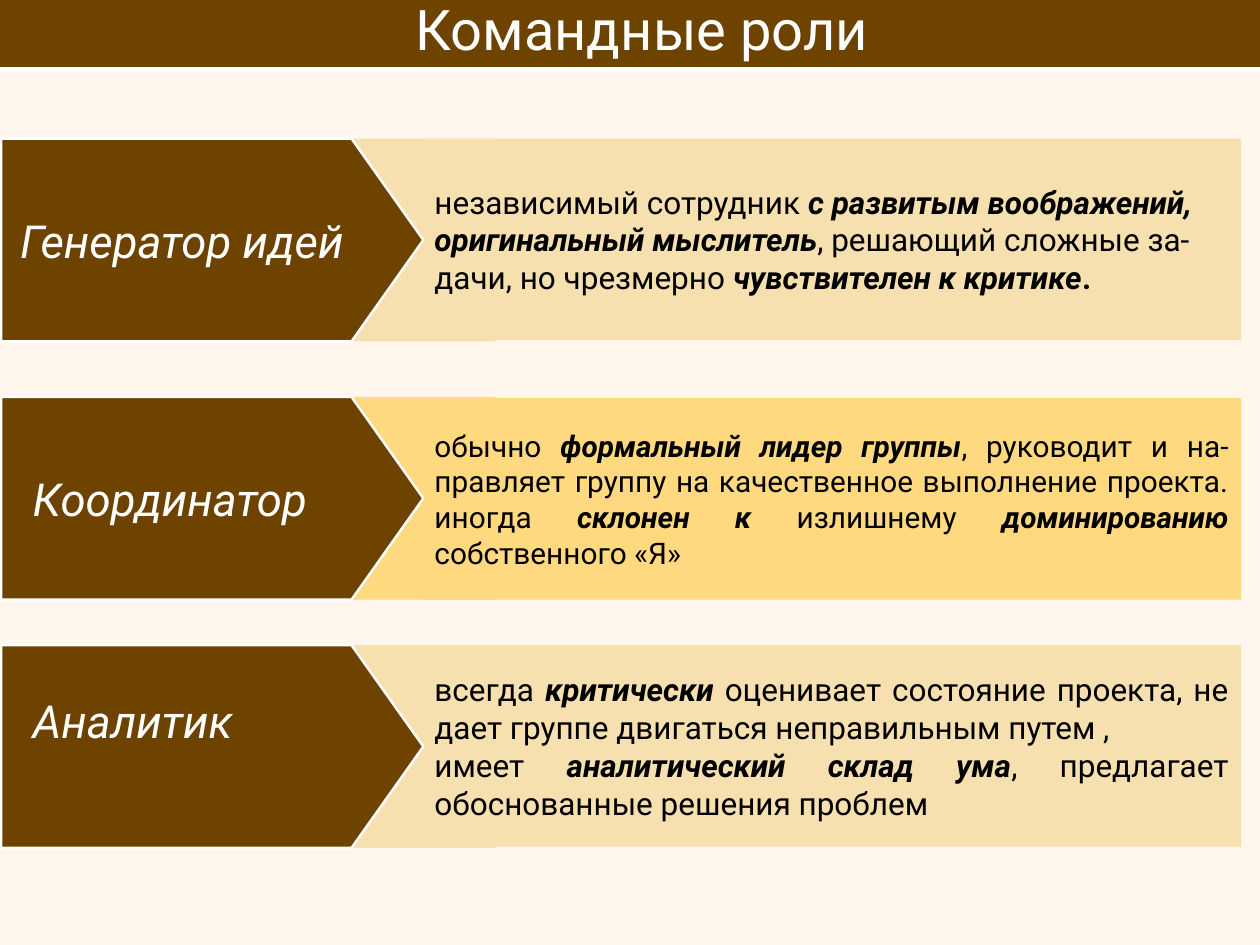
from pptx import Presentation
from pptx.dml.color import RGBColor
from pptx.enum.shapes import MSO_SHAPE as SHAPE
from pptx.enum.text import MSO_ANCHOR as ANCHOR, PP_ALIGN as ALIGN
from pptx.util import Inches, Pt

THEME = {
    "font": "Roboto", "background": "FFF7ED", "brown": "6E4300",
    "sand": "F7E0B0", "gold": "FFD97F", "white": "FFFFFF", "black": "000000",
    "title_size": 32, "role_size": 26, "arrow_line": 1.42, "title_line": 2.27,
}
PLAIN = {"bold": False, "italic": False}
STRONG = {"bold": True, "italic": True}
BOLD = {"bold": True, "italic": False}
SLANTED = {"bold": False, "italic": True}

TITLE = "Командные роли"
ROLES = [
    {"name": "Генератор идей", "top": 1.1, "panel_top": 1.1, "fill": "sand",
     "size": 18, "align": ALIGN.LEFT, "indent": 0.09, "lift": 0,
     "text": [[("независимый сотрудник ", PLAIN),
               ("с развитым воображений, оригинальный мыслитель", STRONG),
               (", решающий сложные за-дачи, но чрезмерно ", PLAIN),
               ("чувствителен к критике", STRONG), (".", BOLD)]]},
    {"name": "Координатор", "top": 3.15, "panel_top": 3.16, "fill": "gold",
     "size": 17, "align": ALIGN.JUSTIFY, "indent": 0.19, "lift": 0,
     "text": [[("обычно ", PLAIN), ("формальный лидер группы", STRONG),
               (", руководит и на-правляет группу на качественное "
                "выполнение проекта. иногда ", PLAIN),
               ("склонен к", STRONG), (" излишнему ", PLAIN),
               ("доминированию", STRONG), (" собственного «Я»", PLAIN)]]},
    {"name": "Аналитик", "top": 5.12, "panel_top": 5.12, "fill": "sand",
     "size": 18, "align": ALIGN.JUSTIFY, "indent": 0.19, "lift": 0.42,
     "text": [[("всегда ", PLAIN), ("критически", STRONG),
               (" оценивает состояние проекта, не дает группе двигаться "
                "неправильным путем ,", PLAIN)],
              [("имеет ", PLAIN), ("аналитический склад ума", STRONG),
               (", предлагает обоснованные решения проблем", PLAIN)]]},
]

ARROW_LEFT, ARROW_NECK, ARROW_TIP = 0.01, 2.79, 3.36
ROW_HEIGHT = 1.61
BACKING_LEFT = 2.32
PANEL_LEFT, PANEL_WIDTH, PANEL_HEIGHT = 3.35, 6.5, 1.6


def color(name):
    return RGBColor.from_string(THEME[name])


def style(sp, fill, line_width=None):
    sp.shadow.inherit = False
    sp.fill.solid()
    sp.fill.fore_color.rgb = color(fill)
    if line_width:
        sp.line.color.rgb = color("white")
        sp.line.width = Pt(line_width)
    else:
        sp.line.fill.background()


def add_box(slide, box, fill, line_width=None):
    sp = slide.shapes.add_shape(SHAPE.RECTANGLE, *map(Inches, box))
    style(sp, fill, line_width)
    return sp


def add_arrow(slide, top):
    bottom = top + ROW_HEIGHT
    outline = [(ARROW_NECK, top), (ARROW_TIP, top + ROW_HEIGHT / 2),
               (ARROW_NECK, bottom), (ARROW_LEFT, bottom)]
    builder = slide.shapes.build_freeform(Inches(ARROW_LEFT), Inches(top))
    builder.add_line_segments([(Inches(x), Inches(y)) for x, y in outline], close=True)
    sp = builder.convert_to_shape()
    style(sp, "brown", THEME["arrow_line"])
    return sp


def write(sp, paragraphs, size, ink, align, insets):
    tf = sp.text_frame
    tf.word_wrap = True
    tf.vertical_anchor = ANCHOR.MIDDLE
    for side, inset in zip(("left", "top", "right", "bottom"), insets):
        setattr(tf, f"margin_{side}", Inches(inset))
    for i, runs in enumerate(paragraphs):
        p = tf.add_paragraph() if i else tf.paragraphs[0]
        p.alignment = align
        for text, emphasis in runs:
            r = p.add_run()
            r.text = text
            values = {"name": THEME["font"], "size": Pt(size), **emphasis}
            for key, value in values.items():
                setattr(r.font, key, value)
            r.font.color.rgb = color(ink)
    return tf


def add_role(slide, role):
    top = role["top"]
    add_box(slide, (BACKING_LEFT, top, ROW_HEIGHT, ROW_HEIGHT), role["fill"])
    panel = add_box(slide, (PANEL_LEFT, role["panel_top"], PANEL_WIDTH, PANEL_HEIGHT),
                    role["fill"])
    write(panel, role["text"], role["size"], "black", role["align"],
          (0.1, 0.05, 0.1, 0.05))
    write(add_arrow(slide, top), [[(role["name"], SLANTED)]], THEME["role_size"],
          "white", ALIGN.LEFT, (0.06 + role["indent"], 0.06, 0.06, 0.06 + role["lift"]))


def main():
    """Build the team roles slide."""
    prs = Presentation()
    prs.slide_width, prs.slide_height = Inches(10), Inches(7.5)
    slide = prs.slides.add_slide(prs.slide_layouts[6])
    slide.background.fill.solid()
    slide.background.fill.fore_color.rgb = color("background")
    for role in ROLES:
        add_role(slide, role)
    banner = add_box(slide, (-0.08, -0.02, 10.24, 0.57), "brown", THEME["title_line"])
    tf = write(banner, [[(TITLE, PLAIN)]], THEME["title_size"], "white",
               ALIGN.CENTER, (0.22, 0.06, 0.11, 0.06))
    for key, value in {"line_spacing": 0.87, "space_after": Pt(12.9)}.items():
        setattr(tf.paragraphs[0], key, value)
    prs.save("out.pptx")


if __name__ == "__main__":
    main()
